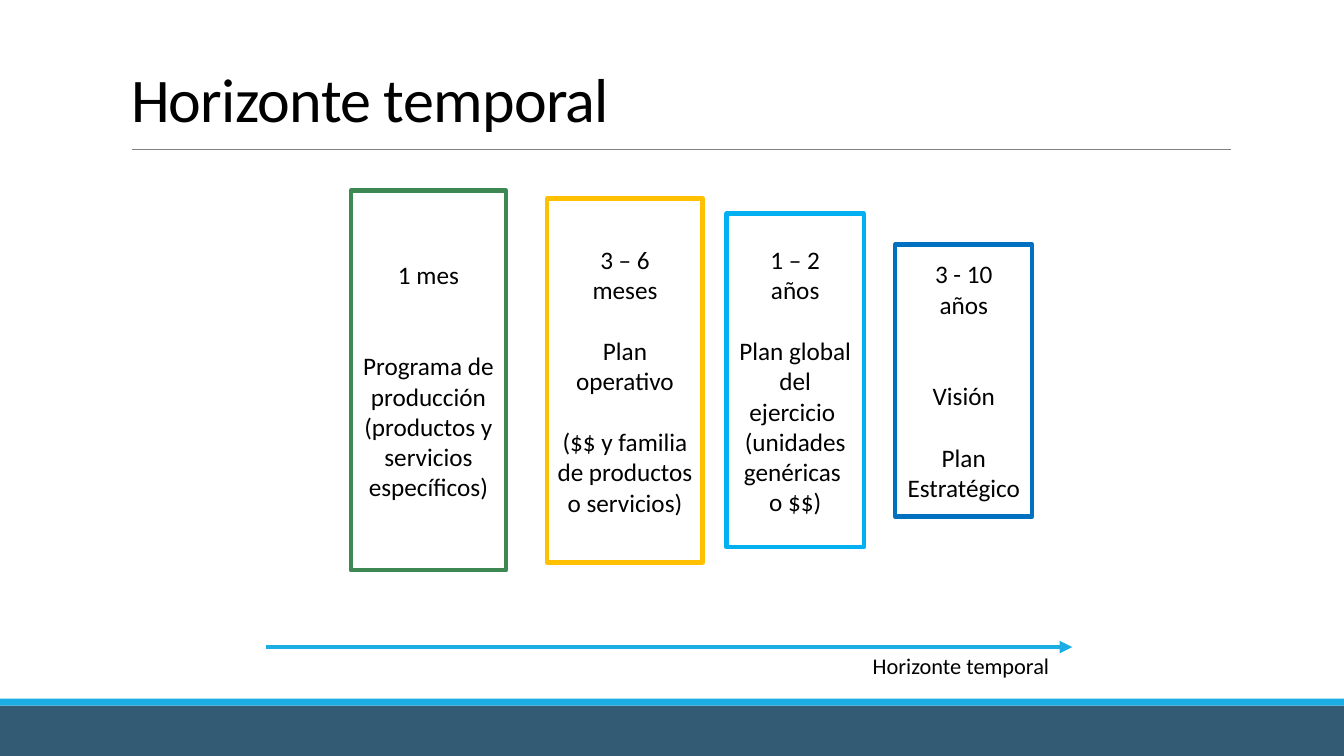
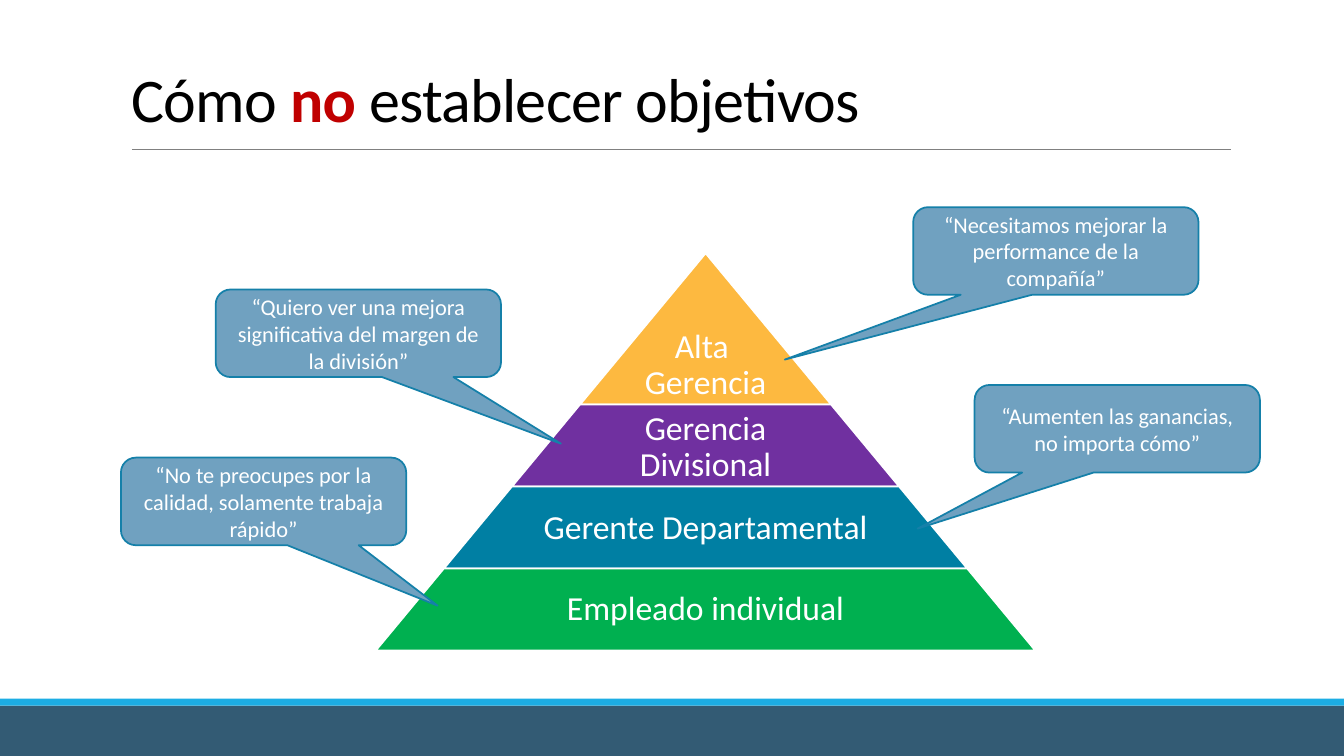
from dataclasses import dataclass
from lxml.etree import SubElement
from pptx import Presentation
from pptx.dml.color import RGBColor
from pptx.enum.shapes import MSO_CONNECTOR, MSO_SHAPE
from pptx.enum.text import MSO_ANCHOR, MSO_AUTO_SIZE, PP_ALIGN
from pptx.oxml.ns import qn
from pptx.util import Pt


@dataclass(frozen=True)
class Theme:
    """Colours, font and type sizes of the deck."""
    font: str = "Calibri"
    ink: str = "000000"
    paper: str = "FFFFFF"
    navy: str = "335B74"
    sky: str = "1CADE4"
    rule: str = "808080"
    alert: str = "C00000"
    green: str = "3E8853"
    amber: str = "FFC000"
    cyan: str = "00B0F0"
    blue: str = "0070C0"
    gold: str = "FDB940"
    purple: str = "7030A0"
    teal: str = "007FA3"
    leaf: str = "00B050"
    bubble: str = "70A1C0"
    edge: str = "1580A9"
    head: float = 44.3
    level: int = 24
    body: int = 18
    note: int = 16
    blank: int = 22


class Deck:
    """Holds the style and the current slide."""

    def __init__(self, theme):
        """Open a wide deck and fit its shared layout."""
        self.theme = theme
        self.file = Presentation()
        self.file.slide_width, self.file.slide_height = Pt(960), Pt(540)
        self.layout = self.file.slide_layouts[5]
        self.slide = None

    def start(self, before, hot="", after=""):
        """Add a slide with its title, one part of it in the alert colour."""
        theme = self.theme
        first = self.slide is None
        self.slide = self.file.slides.add_slide(self.layout)
        if first:
            self.frame()
        title = self.slide.shapes.title
        title.left, title.top, title.width, title.height = Pt(86.4), Pt(22.3), Pt(792), Pt(77.8)
        body = title.text_frame
        body.auto_size = MSO_AUTO_SIZE.NONE
        body.vertical_anchor = MSO_ANCHOR.BOTTOM
        line = body.paragraphs[0]
        line.alignment = PP_ALIGN.LEFT
        line.line_spacing = 0.85
        for part in filter(None, (before, hot, after)):
            run = line.add_run()
            run.text = part
            self.style(run, theme.head, theme.alert if part == hot else theme.ink)
            run.font.bold = part == hot
        for props in title.element.iter(qn("a:rPr")):
            props.set("spc", "-50")

    def frame(self):
        """Put the footer bands and the title rule on the layout."""
        theme = self.theme
        parts = (
            self.shape(MSO_SHAPE.RECTANGLE, 0, 504, 960, 36, theme.navy),
            self.shape(MSO_SHAPE.RECTANGLE, 0, 499, 960, 5, theme.sky),
            self.line(94.3, 879, 106.6, theme.rule, 0.5),
        )
        for code, part in enumerate(parts, 101):
            part.element.xpath("./*/p:cNvPr")[0].set("id", str(code))
            self.layout.shapes.element.append(part.element)

    def style(self, run, size, color):
        """Set the font of a run."""
        run.font.name = self.theme.font
        run.font.size = Pt(size)
        run.font.color.rgb = RGBColor.from_string(color)

    def fill(self, shape, rows, size, color, align=PP_ALIGN.CENTER):
        """Fill a shape with rows of (blank lines before, text)."""
        body = shape.text_frame
        body.word_wrap = True
        body.text = "\n".join(text for _, text in rows)
        for line, (gap, _) in zip(body.paragraphs, rows):
            line.alignment = align
            if gap:
                line.space_before = Pt(gap * self.theme.blank)
            for run in line.runs:
                self.style(run, size, color)
        return body

    def shape(self, kind, x, y, w, h, fill=None, edge=None, weight=1.25):
        """Add a preset shape without shadow."""
        shape = self.slide.shapes.add_shape(kind, Pt(x), Pt(y), Pt(w), Pt(h))
        shape.shadow.inherit = False
        if fill:
            shape.fill.solid()
            shape.fill.fore_color.rgb = RGBColor.from_string(fill)
        else:
            shape.fill.background()
        if edge:
            shape.line.color.rgb = RGBColor.from_string(edge)
            shape.line.width = Pt(weight)
        else:
            shape.line.fill.background()
        return shape

    def line(self, left, right, y, color, weight, arrow=False):
        """Add a level line, with an arrowhead on the right if asked."""
        link = self.slide.shapes.add_connector(
            MSO_CONNECTOR.STRAIGHT, Pt(left), Pt(y), Pt(right), Pt(y))
        link.line.color.rgb = RGBColor.from_string(color)
        link.line.width = Pt(weight)
        props = link.element.spPr
        if arrow:
            SubElement(props.find(qn("a:ln")), qn("a:tailEnd"), type="triangle")
        SubElement(props, qn("a:effectLst"))
        return link

    def label(self, x, y, w, h, text):
        """Add a small text box."""
        box = self.slide.shapes.add_textbox(Pt(x), Pt(y), Pt(w), Pt(h))
        self.fill(box, [(0, text)], self.theme.note, self.theme.ink, PP_ALIGN.LEFT)

    def panel(self, x, w, h, color, rows):
        """Add an outlined box centred on the common axis."""
        axis = 271.8
        box = self.shape(MSO_SHAPE.RECTANGLE, x, axis - h / 2, w, h, edge=color, weight=3)
        body = self.fill(box, rows, self.theme.body, self.theme.ink)
        body.vertical_anchor = MSO_ANCHOR.MIDDLE

    def stack(self, mid, top, slope, tiers):
        """Add a pyramid of trapezoid tiers from the apex down."""
        theme, depth = self.theme, 0
        for high, color, text in tiers:
            y = top + depth
            depth += high
            half = slope * depth
            tier = self.shape(MSO_SHAPE.TRAPEZOID, mid - half, y, 2 * half, high, color, theme.paper)
            tier.adjustments[0] = slope
            body = self.fill(tier, [(0, text)], theme.level, theme.paper)
            body.word_wrap = False
            low = "\v" in text
            body.vertical_anchor = MSO_ANCHOR.BOTTOM if low else MSO_ANCHOR.MIDDLE
            body.margin_left = body.margin_right = body.margin_top = Pt(2)
            body.margin_bottom = Pt(2 if low else 6)
            body.paragraphs[0].line_spacing = 0.9

    def quote(self, x, y, tip, text):
        """Add a speech bubble whose tip is given as shares of its size."""
        theme = self.theme
        box = self.shape(MSO_SHAPE.ROUNDED_RECTANGULAR_CALLOUT, x, y, 203.8, 62.6,
                         theme.bubble, theme.edge)
        for place, value in enumerate((*tip, 0.17)):
            box.adjustments[place] = value
        body = self.fill(box, [(0, text)], theme.note, theme.paper)
        body.vertical_anchor = MSO_ANCHOR.MIDDLE


def main():
    """Build both slides."""
    theme = Theme()
    deck = Deck(theme)

    deck.start("Horizonte temporal")
    deck.label(616.3, 462.2, 144, 26.6, "Horizonte temporal")
    deck.line(190, 766, 462.2, theme.sky, 3, arrow=True)
    panels = (
        (250.6, 110.9, 271.4, theme.green, [
            (0, "1 mes"), (2, "Programa de producción"),
            (0, "(productos y servicios específicos)")]),
        (391, 110.9, 260, theme.amber, [
            (0, "3 – 6\vmeses"), (1, "Plan operativo"),
            (1, "($$ y familia de productos o servicios)")]),
        (519, 98, 238.4, theme.cyan, [
            (0, "1 – 2\vaños"),
            (1, "Plan global del ejercicio \v(unidades genéricas \vo $$)")]),
        (639.4, 98, 194.4, theme.blue, [
            (0, "3 - 10\vaños"), (2, "Visión"), (1, "Plan Estratégico")]),
    )
    for panel in panels:
        deck.panel(*panel)

    deck.start("Cómo ", "no", " establecer objetivos")
    deck.stack(504, 180.9, 0.83, (
        (108, theme.gold, "Alta \vGerencia"),
        (58.6, theme.purple, "Gerencia\vDivisional"),
        (58.6, theme.teal, "Gerente Departamental"),
        (58.6, theme.leaf, "Empleado individual"),
    ))
    quotes = (
        (652.3, 148, (-0.95, 1.24), "“Necesitamos mejorar la performance de la compañía”"),
        (696.2, 275, (-0.7, 1.14), "“Aumenten las ganancias, no importa cómo”"),
        (154.1, 206.8, (0.71, 1.26),
         "“Quiero ver una mejora significativa del margen de la división”"),
        (86.4, 326.9, (0.61, 1.19),
         "“No te preocupes por la calidad, solamente trabaja rápido”"),
    )
    for quote in quotes:
        deck.quote(*quote)

    deck.file.save("out.pptx")


if __name__ == "__main__":
    main()
